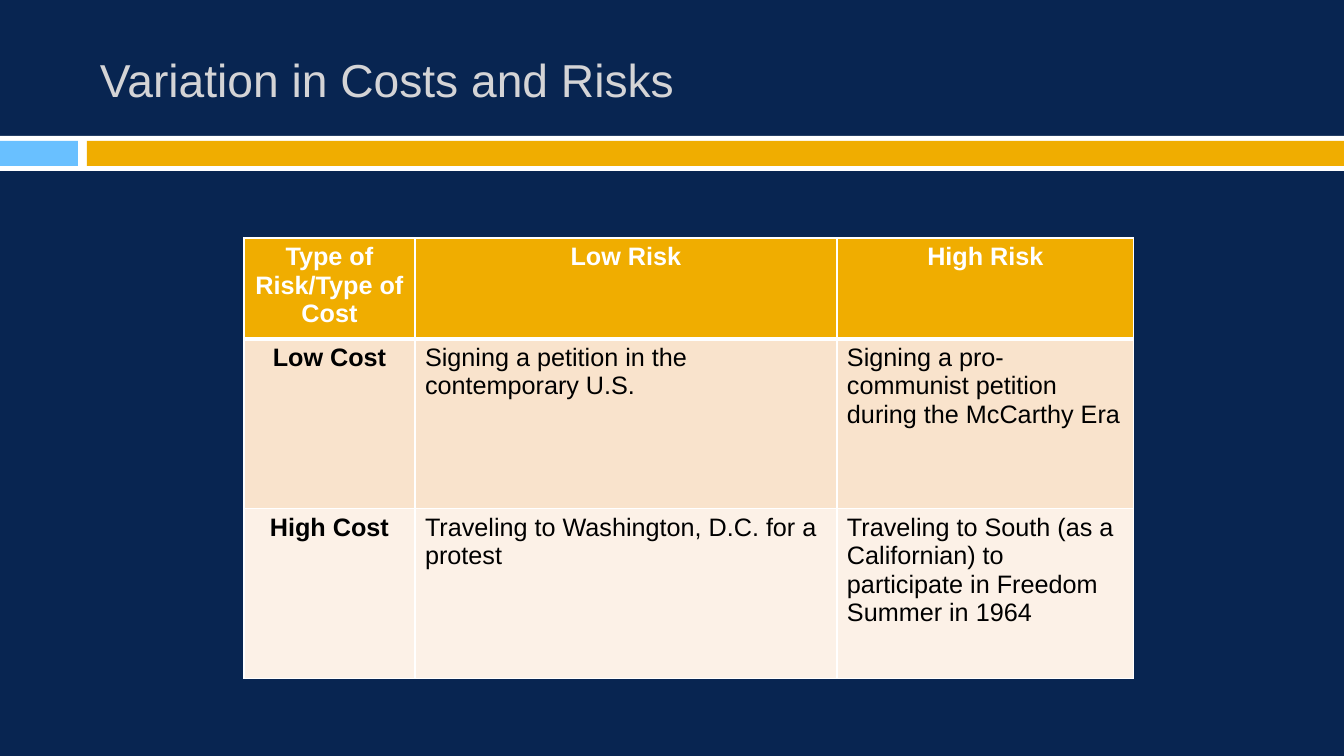
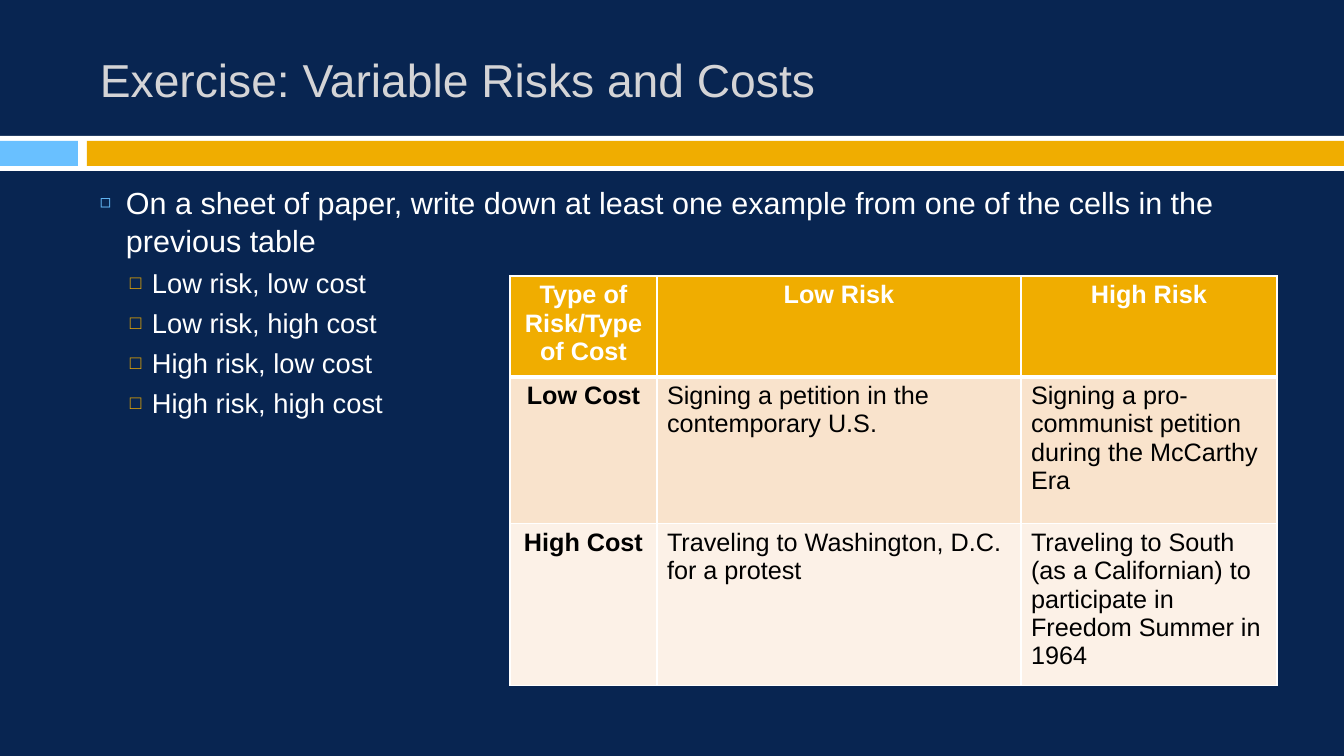
from dataclasses import dataclass

import pptx
import pptx.dml.color
import pptx.enum.shapes
import pptx.enum.text
import pptx.oxml
import pptx.oxml.ns
import pptx.util

EMU_PER_PX = 12192000 / 1344
PAGE_WIDTH, PAGE_HEIGHT = 1344, 756

FONT = "Arial"
NAVY, WHITE, BLACK = "082551", "FFFFFF", "000000"
GOLD, SKY, SILVER = "F0AD00", "69C0FF", "D4D4D6"
ROW_FILLS = (GOLD, "F9E3CC", "FCF1E7")

CENTER = pptx.enum.text.PP_ALIGN.CENTER
LEFT = pptx.enum.text.PP_ALIGN.LEFT
TOP = pptx.enum.text.MSO_ANCHOR.TOP
MIDDLE = pptx.enum.text.MSO_ANCHOR.MIDDLE

RISK_TABLE = (
    ("Type of Risk/Type of Cost", "Low Risk", "High Risk"),
    ("Low Cost", "Signing a petition in the contemporary U.S.",
     "Signing a pro-communist petition during the McCarthy Era"),
    ("High Cost", "Traveling to Washington, D.C. for a protest",
     "Traveling to South (as a Californian) to participate in Freedom Summer in 1964"),
)


@dataclass(frozen=True)
class Area:
    left: int
    top: int
    width: int
    height: int


@dataclass(frozen=True)
class Band:
    area: Area
    color: str


@dataclass(frozen=True)
class Grid:
    left: int
    top: int
    columns: tuple[int, ...]
    rows: tuple[int, ...]


@dataclass(frozen=True)
class BulletStyle:
    level: int
    mark: str
    color: str
    percent: int
    margin: int
    hanging: int
    size: float
    space_before: float


@dataclass(frozen=True)
class Bullet:
    text: str
    style: BulletStyle


BANDS = (
    Band(Area(0, 136, PAGE_WIDTH, 35), WHITE),
    Band(Area(0, 141, 78, 25), SKY),
    Band(Area(87, 141, PAGE_WIDTH - 87, 25), GOLD),
)
TITLE_AREA = Area(90, 25, 1199, 109)
BODY_AREA = Area(90, 177, 1199, 496)

MAIN_POINT = BulletStyle(0, "◻", SKY, 60, 26, 26, 21.8, 0)
SUB_POINT = BulletStyle(1, "□", GOLD, 70, 52, 22, 19.5, 4.1)
EXERCISE = (
    Bullet("On a sheet of paper, write down at least one example from one of "
           "the cells in the previous table", MAIN_POINT),
    Bullet("Low risk, low cost", SUB_POINT),
    Bullet("Low risk, high cost", SUB_POINT),
    Bullet("High risk, low cost", SUB_POINT),
    Bullet("High risk, high cost", SUB_POINT),
)


def px(length: int) -> pptx.util.Emu:
    return pptx.util.Emu(round(length * EMU_PER_PX))


def rgb(color: str) -> pptx.dml.color.RGBColor:
    return pptx.dml.color.RGBColor.from_string(color)


def place(area: Area) -> tuple:
    return px(area.left), px(area.top), px(area.width), px(area.height)


def write(para, text: str, *, size: float, color: str, bold: bool = False,
          align=LEFT) -> None:
    para.alignment = align
    span = para.add_run()
    span.text = text
    span.font.name = FONT
    span.font.size = pptx.util.Pt(size)
    span.font.bold = bold
    span.font.color.rgb = rgb(color)


def add_element(parent, markup: str) -> None:
    """Append one DrawingML element, given without its namespace."""
    head, separator, rest = markup.partition(" ")
    namespace = pptx.oxml.ns.nsdecls("a")
    parent.append(pptx.oxml.parse_xml(f"{head} {namespace}{separator}{rest}"))


def add_text_box(page, area: Area, anchor):
    frame = page.shapes.add_textbox(*place(area)).text_frame
    frame.word_wrap = True
    frame.vertical_anchor = anchor
    return frame


def add_page(deck, title: str):
    """Add a slide with the shared background, bands and title."""
    page = deck.slides.add_slide(deck.slide_layouts[6])
    page.background.fill.solid()
    page.background.fill.fore_color.rgb = rgb(NAVY)
    for band in BANDS:
        box = page.shapes.add_shape(
            pptx.enum.shapes.MSO_SHAPE.RECTANGLE, *place(band.area))
        box.shadow.inherit = False
        box.fill.solid()
        box.fill.fore_color.rgb = rgb(band.color)
        box.line.fill.background()
    frame = add_text_box(page, TITLE_AREA, MIDDLE)
    write(frame.paragraphs[0], title, size=33, color=SILVER)
    return page


def add_bullets(page, bullets: tuple[Bullet, ...]) -> None:
    frame = add_text_box(page, BODY_AREA, TOP)
    for index, bullet in enumerate(bullets):
        style = bullet.style
        para = frame.add_paragraph() if index else frame.paragraphs[0]
        para.level = style.level
        para.line_spacing = 1.05
        para.space_before = pptx.util.Pt(style.space_before)
        write(para, bullet.text, size=style.size, color=WHITE)
        properties = para._p.get_or_add_pPr()
        properties.set("marL", str(px(style.margin)))
        properties.set("indent", str(-px(style.hanging)))
        add_element(properties, f'<a:buClr ><a:srgbClr val="{style.color}"/></a:buClr>')
        add_element(properties, f'<a:buSzPct val="{style.percent * 1000}"/>')
        add_element(properties, f'<a:buFont typeface="{FONT}"/>')
        add_element(properties, f'<a:buChar char="{style.mark}"/>')


def add_borders(cell, row: int) -> None:
    """Draw thin white borders, with a thick rule under the header row."""
    top, bottom = (3 if row == 1 else 1), (3 if row == 0 else 1)
    for side, points in (("L", 1), ("R", 1), ("T", top), ("B", bottom)):
        add_element(
            cell._tc.get_or_add_tcPr(),
            f'<a:ln{side} w="{pptx.util.Pt(points)}"><a:solidFill>'
            f'<a:srgbClr val="{WHITE}"/></a:solidFill></a:ln{side}>')


def add_risk_table(page, grid: Grid) -> None:
    area = Area(grid.left, grid.top, sum(grid.columns), sum(grid.rows))
    table = page.shapes.add_table(
        len(grid.rows), len(grid.columns), *place(area)).table
    for column, width in zip(table.columns, grid.columns):
        column.width = px(width)
    for row, height in zip(table.rows, grid.rows):
        row.height = px(height)
    for row, texts in enumerate(RISK_TABLE):
        for column, text in enumerate(texts):
            cell = table.cell(row, column)
            add_borders(cell, row)
            cell.fill.solid()
            cell.fill.fore_color.rgb = rgb(ROW_FILLS[row])
            heading = row == 0 or column == 0
            write(cell.text_frame.paragraphs[0], text, size=18, bold=heading,
                  color=BLACK if row else WHITE,
                  align=CENTER if heading else LEFT)


def main() -> None:
    deck = pptx.Presentation()
    deck.slide_width, deck.slide_height = px(PAGE_WIDTH), px(PAGE_HEIGHT)

    page = add_page(deck, "Variation in Costs and Risks")
    add_risk_table(page, Grid(244, 238, (171, 422, 297), (95, 170, 170)))

    page = add_page(deck, "Exercise: Variable Risks and Costs")
    add_bullets(page, EXERCISE)
    add_risk_table(page, Grid(510, 276, (147, 364, 256), (95, 147, 151)))

    deck.save("out.pptx")


if __name__ == "__main__":
    main()
